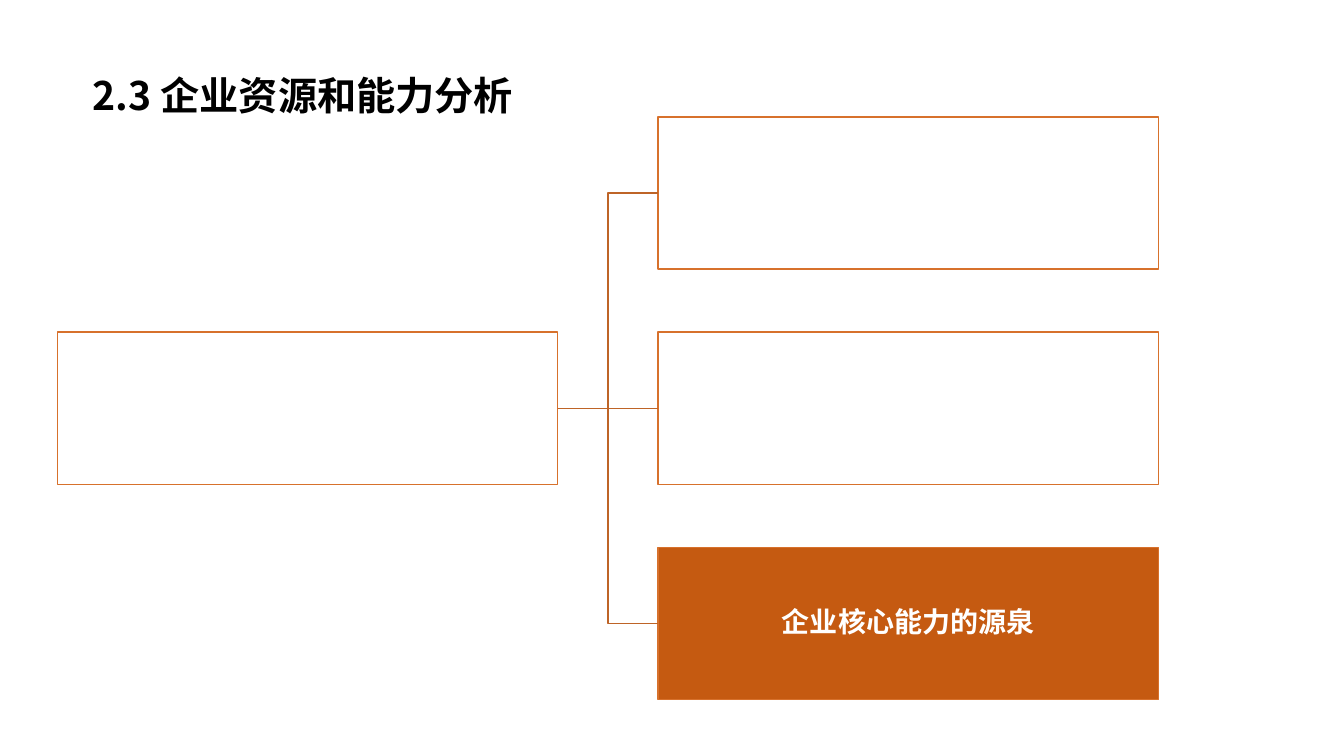
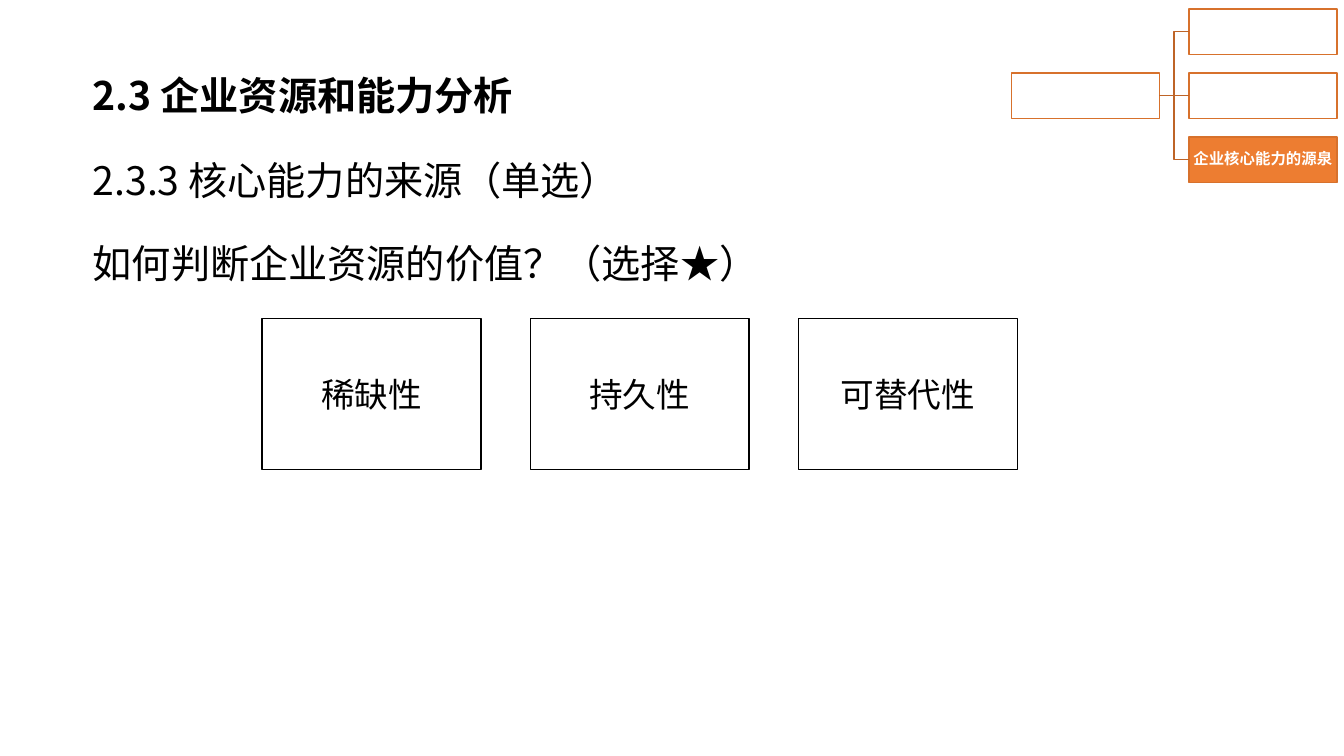
from lxml import etree
from pptx import Presentation
from pptx.dml.color import RGBColor
from pptx.enum.shapes import MSO_CONNECTOR, MSO_SHAPE
from pptx.enum.text import MSO_ANCHOR, MSO_AUTO_SIZE, PP_ALIGN
from pptx.oxml.ns import qn
from pptx.util import Inches, Pt

RECTANGLE = MSO_SHAPE.RECTANGLE
STRAIGHT, ELBOW = MSO_CONNECTOR.STRAIGHT, MSO_CONNECTOR.ELBOW
TOP, MIDDLE = MSO_ANCHOR.TOP, MSO_ANCHOR.MIDDLE
LEFT, CENTER = PP_ALIGN.LEFT, PP_ALIGN.CENTER
NO_FIT, GROW = MSO_AUTO_SIZE.NONE, MSO_AUTO_SIZE.SHAPE_TO_FIT_TEXT

BLACK = RGBColor(0x00, 0x00, 0x00)
WHITE = RGBColor(0xFF, 0xFF, 0xFF)
BRANCH = RGBColor(0xBE, 0x64, 0x27)
NODE_EDGE = RGBColor(0xD7, 0x71, 0x2C)
DARK_ORANGE = RGBColor(0xC5, 0x5A, 0x11)
ORANGE = RGBColor(0xED, 0x7D, 0x31)

MAIN_FONT = "Noto Sans CJK SC"
CARD_FONT = "Noto Sans CJK JP"

TITLE = "2.3 企业资源和能力分析"
TITLE_ONLY = 5
TEXT_INSETS = (0.12, 0.06)
CARD_INSETS = (0.1, 0.05)
NODE_INSETS = (0.01, 0.01)

# Tree proportions, as shares of the tree's box
NODE_WIDTH = 0.4545
NODE_HEIGHT = 0.2612


def write(shape, text, size, font=MAIN_FONT, color=BLACK, bold=False,
          align=LEFT, anchor=MIDDLE, insets=TEXT_INSETS, spacing=1.0, fit=NO_FIT):
    """Put one formatted paragraph into a shape."""
    side, edge = (Inches(inset) for inset in insets)
    frame = shape.text_frame
    frame_format = {
        "word_wrap": True, "auto_size": fit, "vertical_anchor": anchor,
        "margin_left": side, "margin_right": side,
        "margin_top": edge, "margin_bottom": edge,
    }
    for name, value in frame_format.items():
        setattr(frame, name, value)
    para = frame.paragraphs[0]
    para.alignment = align
    para.line_spacing = spacing
    span = para.add_run()
    span.text = text
    for name, value in {"size": Pt(size), "bold": bold, "name": font}.items():
        setattr(span.font, name, value)
    span.font.color.rgb = color
    east_asian = etree.SubElement(span.font._element, qn("a:ea"))
    east_asian.set("typeface", font)


def add_box(slide, left, top, width, height, fill, edge):
    box = slide.shapes.add_shape(RECTANGLE, Inches(left), Inches(top),
                                 Inches(width), Inches(height))
    box.shadow.inherit = False
    box.fill.solid()
    box.fill.fore_color.rgb = fill
    box.line.color.rgb = edge
    box.line.width = Pt(1)
    return box


def add_branch(slide, kind, root, leaf):
    """Join the right side of the root to the left side of a leaf."""
    branch = slide.shapes.add_connector(kind, 0, 0, 0, 0)
    branch.begin_connect(root, 3)
    branch.end_connect(leaf, 1)
    branch.line.color.rgb = BRANCH
    branch.line.width = Pt(1)
    etree.SubElement(branch._element.spPr, qn("a:effectLst"))


def add_tree(slide, left, top, width, height, highlight, size):
    """One root, three leaves, the last of them highlighted."""
    node_width, node_height = width * NODE_WIDTH, height * NODE_HEIGHT
    step = (height - node_height) / 2
    leaf_left = left + width - node_width
    root = add_box(slide, left, top + step, node_width, node_height, WHITE, NODE_EDGE)
    for row, fill in enumerate((WHITE, WHITE, highlight)):
        leaf = add_box(slide, leaf_left, top + row * step, node_width, node_height,
                       fill, NODE_EDGE)
        add_branch(slide, STRAIGHT if row == 1 else ELBOW, root, leaf)
    write(leaf, "企业核心能力的源泉", size, color=WHITE, bold=True, align=CENTER,
          insets=NODE_INSETS, spacing=0.9)


def add_heading(slide, left, top, width, height, text):
    heading = slide.shapes.add_textbox(Inches(left), Inches(top),
                                       Inches(width), Inches(height))
    write(heading, text, 28, spacing=1.5)


def add_cards(slide, left, top, width, height, labels):
    """A row of equal cards with even gaps."""
    card_width = 2.17
    step = (width - card_width) / (len(labels) - 1)
    for column, label in enumerate(labels):
        card = add_box(slide, left + column * step, top, card_width, height,
                       WHITE, BLACK)
        write(card, label, 24, font=CARD_FONT, align=CENTER, insets=CARD_INSETS)


def add_titled_slide(deck, title_width):
    slide = deck.slides.add_slide(deck.slide_layouts[TITLE_ONLY])
    title = slide.shapes.title
    place = {"left": 0.8, "top": 0.65, "width": title_width, "height": 0.59}
    for name, value in place.items():
        setattr(title, name, Inches(value))
    write(title, TITLE, 28, bold=True, anchor=TOP, fit=GROW)
    return slide


def build_overview(deck):
    slide = add_titled_slide(deck, 9.65)
    add_tree(slide, 0.57, 1.16, 10.92, 5.78, DARK_ORANGE, 20)


def build_value_slide(deck):
    slide = add_titled_slide(deck, 11.45)
    add_heading(slide, 0.8, 1.15, 12.16, 1.04, "2.3.3 核心能力的来源（单选）")
    add_heading(slide, 0.8, 1.97, 12.16, 1.04, "如何判断企业资源的价值？（选择★）")
    add_cards(slide, 2.6, 3.16, 7.49, 1.5, ("稀缺性", "持久性", "可替代性"))
    add_tree(slide, 10.03, 0.09, 3.23, 1.72, ORANGE, 11)


def main():
    deck = Presentation()
    deck.slide_width = Inches(13.33)
    deck.slide_height = Inches(7.5)
    build_overview(deck)
    build_value_slide(deck)
    deck.save("out.pptx")


if __name__ == "__main__":
    main()
